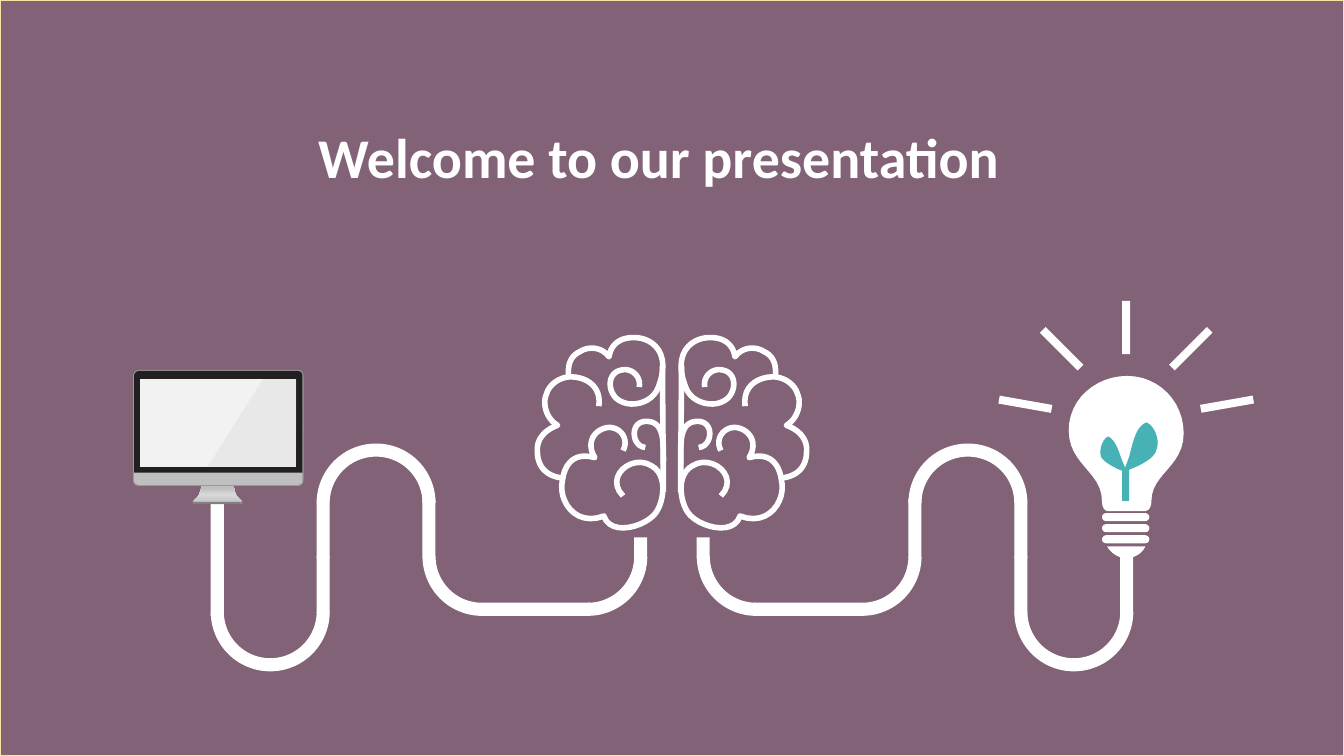
from dataclasses import dataclass
from lxml.etree import SubElement
from pptx import Presentation
from pptx.dml.color import RGBColor
from pptx.enum.shapes import MSO_CONNECTOR, MSO_SHAPE
from pptx.enum.text import MSO_ANCHOR, PP_ALIGN
from pptx.oxml.ns import qn
from pptx.util import Inches, Pt


@dataclass(frozen=True)
class Theme:
    """Colours, type and line sizes."""
    back: str = "826276"
    edge: str = "FCE1A7"
    white: str = "FFFFFF"
    leaf: str = "46B2B5"
    case: str = "999999"
    bezel: str = "231F20"
    chin: str = "BFBFBF"
    shine: str = "D9D9D9"
    foot: str = "808080"
    screen: str = "F2F2F2"
    font: str = "Calibri"
    title: int = 40
    stroke: int = 4
    hair: int = 1


@dataclass(frozen=True)
class Box:
    """A region in inches."""
    x: float
    y: float
    w: float
    h: float

    def left(self, x, w=0, flip=False):
        """Return the slide position of an inner x, mirrored on demand."""
        return self.x + (self.w - x - w if flip else x)


THEME = Theme()

GLASS = ("126 75, 157 75 182 100 182 132, 182 165 150 172 150 199, 150 206 147 209 143 209, "
         "106 209, 103 208 101 205 101 199, 101 170 68 163 68 129, 68 98 95 75 126 75")
CAP = "106 244, 144 244, 141 251 134 255 126 256, 118 256 110 251 106 244"
SPROUT = ("145 121, 153 124 159 139 155 148, 154 154 146 160 135 165, 128 168, 128 199, "
          "121 199, 121 169, 116 167, 108 163 102 159 100 155, 98 149 101 138 107 135, "
          "114 138 117 148 121 159, 124 166, 128 155, 132 139 135 125 145 121")
FOLDS = (
    "32 49, 30 39 39 30 49 32, 63 34 64 51 55 60, 43 71 19 66 13 49, 0 16 18 1 35 0, "
    "50 -1 60 6 62 19, 70 8 84 9 91 14, 102 19 103 30 102 40",
    "72 68, 69 46 88 38 102 39, 113 40 122 48 124 56, 128 64 125 80 113 87, "
    "127 92 134 102 133 113, 133 128 124 137 110 139",
    "48 112, 42 101 50 89 62 89, 75 90 86 103 76 119, 97 113 106 126 108 141, "
    "113 161 96 188 67 177, 60 198 24 187 15 173, 8 163 3 136 20 127, 39 115 67 138 48 157",
    "8 126, 8 103 7 84 24 83, 42 82 40 108 26 109",
)
STAND = ("105 126, 101 123 101 115 101 115, 69 115, 69 115 68 122 65 126, "
         "61 130 56 133 65 133, 104 133, 114 133 108 130 105 126")
PANELS = (
    ("165 0, 7 0, 4 0 1 3 1 6, 1 109, 1 113 3 115 6 115, 165 115, "
     "168 115 170 112 170 109, 170 6, 170 3 168 0 165 0", THEME.case),
    ("148 114, 147 114 147 115 148 115, 158 115, 158 115 159 116 158 114", THEME.case),
    ("164 1, 7 1, 5 1 2 3 2 6, 2 102, 169 102, 169 6, 169 3 167 1 164 1", THEME.bezel),
    ("60 131, 60 133 62 133 66 133, 104 133, 108 133 110 132 110 131", THEME.foot),
    ("2 110, 2 112 5 114 7 114, 164 114, 167 114 169 112 169 110, 169 102, 2 102", THEME.chin),
    ("8 9, 163 9, 163 96, 8 96", THEME.screen),
)
GLARE = "130 9, 164 9, 164 38 163 67 163 96, 75 96"


def paint(shape, fill=None, line=None, width=THEME.stroke):
    """Set fill and line and drop the shadow."""
    shape.shadow.inherit = False
    for part, tint in ((shape.fill, fill), (shape.line.fill, line)):
        if tint:
            part.solid()
            part.fore_color.rgb = RGBColor.from_string(tint)
        else:
            part.background()
    if line:
        shape.line.width = Pt(width)
    return shape


def block(slide, x, y, w, h, fill=THEME.white, kind=MSO_SHAPE.RECTANGLE, turn=0):
    """Add one filled preset shape."""
    shape = slide.shapes.add_shape(kind, Inches(x), Inches(y), Inches(w), Inches(h))
    shape.rotation = turn
    return paint(shape, fill)


def points(path, steps=12):
    """Turn hundredths of an inch, as lines and cubic curves, into points."""
    spots = []
    for part in path.split(","):
        nums = [float(n) / 100 for n in part.split()]
        pairs = list(zip(nums[::2], nums[1::2]))
        if len(pairs) == 1:
            spots += pairs
            continue
        hull = [spots[-1], *pairs]
        for step in range(1, steps + 1):
            t = step / steps
            rates = ((1 - t) ** 3, 3 * t * (1 - t) ** 2, 3 * t * t * (1 - t), t ** 3)
            spots.append(tuple(sum(r * p[i] for r, p in zip(rates, hull)) for i in (0, 1)))
    return spots


def trace(slide, box, path, fill=None, line=None, flip=False):
    """Draw a path inside a box."""
    spots = [(Inches(box.left(x, flip=flip)), Inches(box.y + y)) for x, y in points(path)]
    pen = slide.shapes.build_freeform(*spots[0])
    pen.add_line_segments(spots[1:], close=bool(fill))
    return paint(pen.convert_to_shape(), fill, line)


def cover(slide, box):
    """Fill the slide with its framed colour."""
    panel = block(slide, box.x, box.y, box.w, box.h, THEME.back)
    paint(panel, THEME.back, THEME.edge, THEME.hair)
    panel.element.addnext(slide.shapes.title.element)


def head(slide, box, text):
    """Place and format the title."""
    title = slide.shapes.title
    frame = title.text_frame
    frame.text = text
    line = frame.paragraphs[0]
    looks = (
        (title, {"left": Inches(box.x), "top": Inches(box.y),
                 "width": Inches(box.w), "height": Inches(box.h)}),
        (frame, {"word_wrap": True, "vertical_anchor": MSO_ANCHOR.MIDDLE}),
        (line, {"alignment": PP_ALIGN.CENTER}),
        (line.runs[0].font, {"name": THEME.font, "size": Pt(THEME.title), "bold": True}),
    )
    for item, look in looks:
        for key, value in look.items():
            setattr(item, key, value)
    line.runs[0].font.color.rgb = RGBColor.from_string(THEME.white)


def bulb(slide, box):
    """Draw the shining bulb with its sprout."""
    for row in range(3):
        ring = block(slide, box.x + 1.01, box.y + 2.11 + 0.11 * row, 0.47, 0.08,
                     kind=MSO_SHAPE.ROUNDED_RECTANGLE)
        ring.adjustments[0] = 0.5
    for path, tint in ((CAP, THEME.white), (GLASS, THEME.white), (SPROUT, THEME.leaf)):
        trace(slide, box, path, tint)
    wide, tall = 0.08, 0.53
    rays = ((-1, 1.03, -80), (-0.64, 0.48, -45), (0, 0.27, 0), (0.64, 0.48, 45), (1, 1.03, 80))
    for x, y, turn in rays:
        block(slide, box.x + box.w / 2 + x - wide / 2, box.y + y - tall / 2,
              wide, tall, turn=turn)


def brain(slide, box, flip=False):
    """Draw one half of the brain."""
    for path in FOLDS:
        trace(slide, box, path, line=THEME.white, flip=flip)
    edge = slide.shapes.add_connector(
        MSO_CONNECTOR.STRAIGHT,
        Inches(box.left(0.09, flip=flip)), Inches(box.y + 0.28),
        Inches(box.left(0.08, flip=flip)), Inches(box.y + 1.53))
    edge.line.color.rgb = RGBColor.from_string(THEME.white)
    edge.line.width = Pt(THEME.stroke)
    SubElement(edge.element.spPr, qn("a:effectLst"))


def cord(slide, box, top, flip=False):
    """Draw a cable on five lanes, whose last run starts at the given top."""
    thick, lane, size = 0.13, 1.05, 1.18
    for col, y, end in ((0, 0.93, 1.14), (2, 0.55, 1.14), (3, 0.58, 1.14),
                        (3, 1.12, 1.68), (4, top, 1.71)):
        block(slide, box.left(col * lane, thick, flip), box.y + y, thick, end - y)
    block(slide, box.left(0.57, 1.08, flip), box.y + 1.58, 1.08, thick)
    half, part = 108, 162.4
    for col, y, turn, start in ((0, 0.53, 180, part), (1, 0.53, 90, part),
                                (2, 0, 0, half), (3, 1.08, 180, half)):
        if flip and start == part:
            turn = 270 - turn
        arc = block(slide, box.left(col * lane, size, flip), box.y + y, size, size,
                    kind=MSO_SHAPE.BLOCK_ARC, turn=turn)
        for spot, value in enumerate((start, 215.99, 0.11)):
            arc.adjustments[spot] = value


def screen(slide, box):
    """Draw the desktop monitor."""
    stand = trace(slide, box, STAND, THEME.chin)
    stand.fill.gradient()
    stand.fill.gradient_angle = 90
    stops = stand.element.spPr.find(".//" + qn("a:gsLst"))
    stops.clear()
    for spot, tint in ((0, THEME.chin), (53, THEME.shine), (83, THEME.chin), (100, THEME.chin)):
        stop = SubElement(stops, qn("a:gs"), pos=str(spot * 1000))
        SubElement(stop, qn("a:srgbClr"), val=tint)
    for path, tint in PANELS:
        trace(slide, box, path, tint)
    glare = trace(slide, box, GLARE, THEME.case)
    tone = glare.element.spPr.find(qn("a:solidFill"))[0]
    SubElement(tone, qn("a:alpha"), val="10000")


def main():
    """Build and save the slide."""
    deck = Presentation()
    deck.slide_width, deck.slide_height = Inches(13.33), Inches(7.5)
    slide = deck.slides.add_slide(deck.slide_layouts[5])
    cover(slide, Box(0, 0, 13.33, 7.5))
    head(slide, Box(2.59, 1.09, 8.01, 0.92), "Welcome to our presentation ")
    bulb(slide, Box(9.92, 2.98, 2.5, 2.56))
    brain(slide, Box(6.67, 3.35, 1.34, 1.88))
    brain(slide, Box(5.32, 3.35, 1.34, 1.88), flip=True)
    cord(slide, Box(6.91, 4.4, 4.33, 2.26), 1.12)
    cord(slide, Box(2.09, 4.4, 4.33, 2.26), 0.37, flip=True)
    screen(slide, Box(1.31, 3.67, 1.7, 1.34))
    deck.save("out.pptx")


if __name__ == "__main__":
    main()
